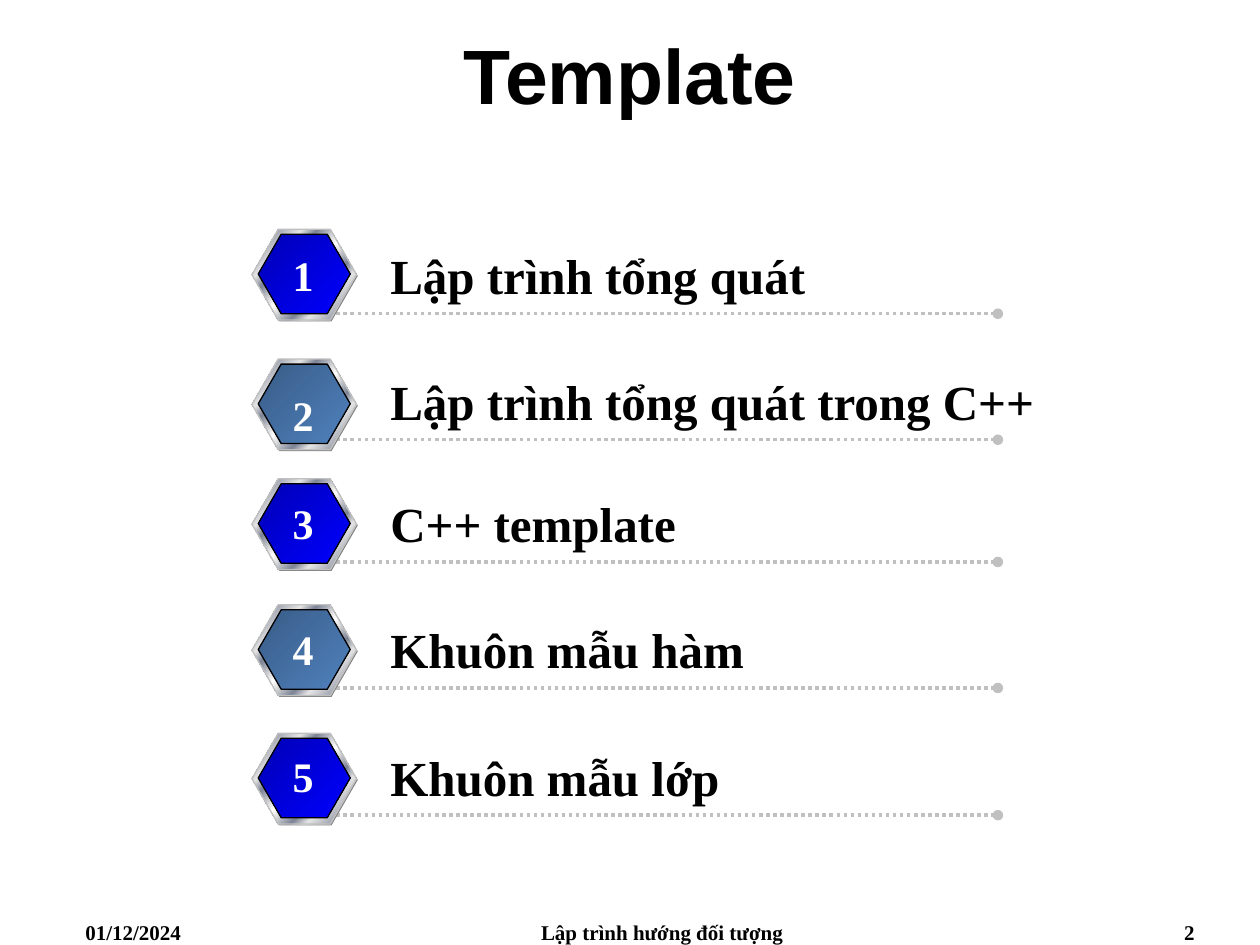
from lxml import etree
from pptx import Presentation
from pptx.dml.color import RGBColor
from pptx.enum.dml import MSO_LINE
from pptx.enum.shapes import MSO_CONNECTOR, MSO_SHAPE
from pptx.enum.text import MSO_ANCHOR, MSO_AUTO_SIZE, PP_ALIGN
from pptx.oxml.ns import qn
from pptx.util import Inches, Pt

LEFT, MID, RIGHT = PP_ALIGN.LEFT, PP_ALIGN.CENTER, PP_ALIGN.RIGHT
HEXAGON = MSO_SHAPE.HEXAGON
STRAIGHT = MSO_CONNECTOR.STRAIGHT
DOTS = MSO_LINE.ROUND_DOT
SERIF = "Times New Roman"

METAL = [(0, "E6E6E6"), (7, "7D8496"), (26, "E6E6E6"), (34, "7D8496"),
         (46, "E6E6E6"), (50, "FFFFFF"), (54, "E6E6E6"), (66, "7D8496"),
         (74, "E6E6E6"), (93, "7D8496"), (100, "E6E6E6")]
BLUE = [(0, "0000B6"), (100, "0000FF")]
STEEL = [(0, "395C87"), (100, "4F81BD")]

color = RGBColor.from_string

deck = Presentation()
deck.slide_width, deck.slide_height = Inches(10), Inches(7.5)
slide = deck.slides.add_slide(deck.slide_layouts[6])
shapes = slide.shapes


def add_text(text, box, size, align=LEFT, ink="000000", font=SERIF, wrap=True):
    frame = shapes.add_textbox(*map(Inches, box)).text_frame
    frame.word_wrap = wrap
    para = frame.paragraphs[0]
    para.text = text
    para.alignment = align
    para.font.name = font
    para.font.size = Pt(size)
    para.font.bold = True
    para.font.color.rgb = color(ink)
    return frame


def add_hex(box, stops, edge=None):
    """Add a hexagon; a single stop gives a plain fill, more a gradient."""
    shape = shapes.add_shape(HEXAGON, *map(Inches, box))
    shape.shadow.inherit = False
    shape.adjustments[0], shape.adjustments[1] = 0.289, 1.155
    if edge:
        shape.line.color.rgb = color(edge)
        shape.line.width = Pt(0.75)
    else:
        shape.line.fill.background()
    if len(stops) == 1:
        shape.fill.solid()
        shape.fill.fore_color.rgb = color(stops[0][1])
        return
    shape.fill.gradient()
    shape.fill.gradient_angle = 315  # counted anticlockwise
    ramp = next(shape.element.iter(qn("a:gsLst")))
    for old in list(ramp):
        ramp.remove(old)
    for pos, tone in stops:
        stop = etree.SubElement(ramp, qn("a:gs"), pos=str(pos * 1000))
        etree.SubElement(stop, qn("a:srgbClr"), val=tone)


title = add_text("Template", (0, 0, 10, 1.17), 44, MID, font="Arial")
title.vertical_anchor = MSO_ANCHOR.MIDDLE

# Label, then the tops of hexagon and number, and the height of the dotted line
rows = [
    ("Lập trình tổng quát", 1.82, 1.93, 2.49),
    ("Lập trình tổng quát trong C++", 2.85, 3.04, 3.49),
    ("C++ template", 3.8, 3.9, 4.46),
    ("Khuôn mẫu hàm", 4.8, 4.9, 5.46),
    ("Khuôn mẫu lớp", 5.82, 5.91, 6.47),
]
for num, (label, top, digit, base) in enumerate(rows, 1):
    line = shapes.add_connector(STRAIGHT, Inches(2.67), Inches(base),
                                Inches(7.92), Inches(base))
    line.line.color.rgb = color("C0C0C0")
    line.line.width = Pt(2)
    line.line.dash_style = DOTS
    etree.SubElement(line.line._get_or_add_ln(), qn("a:tailEnd"), type="oval")
    etree.SubElement(line.element.spPr, qn("a:effectLst"))

    add_hex((2.01, top + 0.01, 0.83, 0.72), [(0, "808080")])
    add_hex((2, top, 0.83, 0.72), METAL, "C0C0C0")
    add_hex((2.05, top + 0.04, 0.73, 0.63), BLUE if num % 2 else STEEL, "000000")

    name = add_text(label, (3, base - 0.59, 5.33, 0.57), 28)
    mark = add_text(str(num), (2.22, digit, 0.37, 0.5), 24, MID, "FFFFFF", wrap=False)
    for frame in (name, mark):
        frame.auto_size = MSO_AUTO_SIZE.SHAPE_TO_FIT_TEXT

for text, left, width, align in [
    ("01/12/2024", 0.58, 2.33, LEFT),
    ("Lập trình hướng đối tượng", 3.67, 3.17, MID),
    ("2", 7.25, 2.33, RIGHT),
]:
    add_text(text, (left, 7.25, width, 0.25), 12, align)

deck.save("out.pptx")
